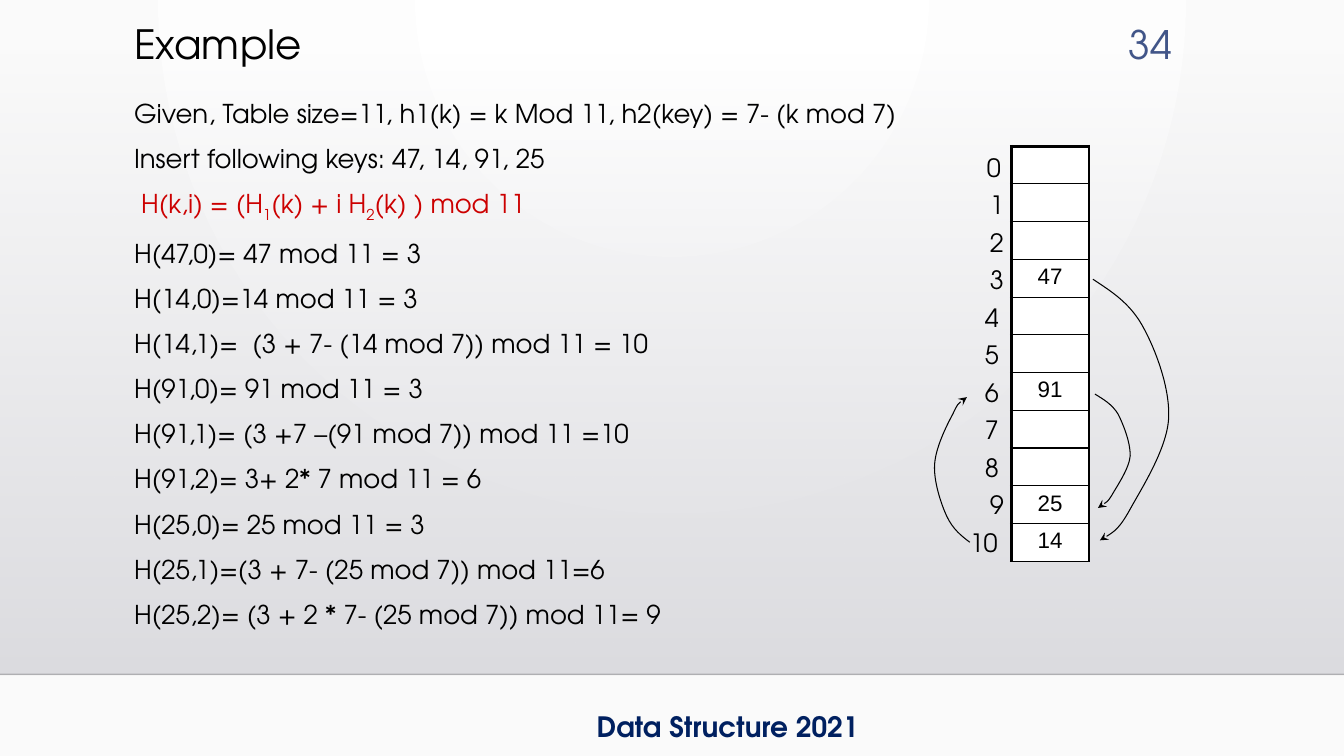
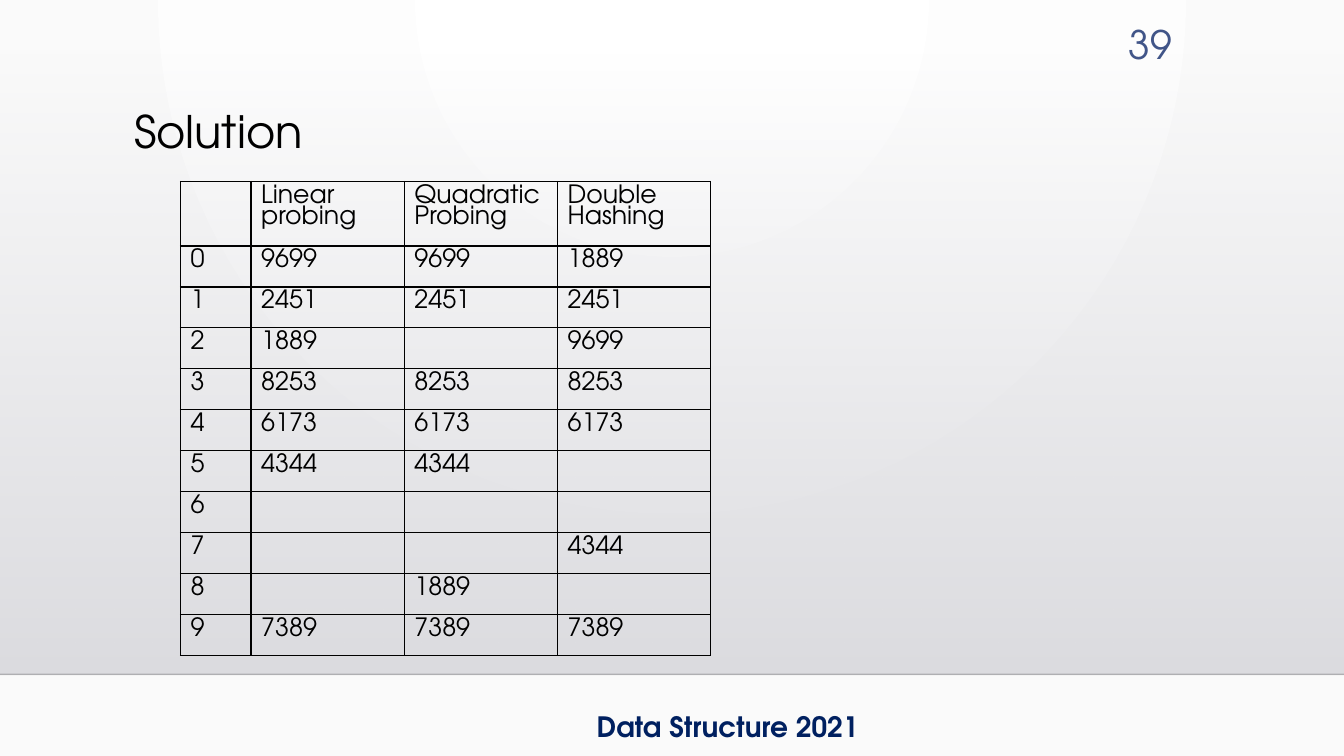
"""Build two lecture slides on double hashing and its comparison with other probing."""
from dataclasses import dataclass

from lxml import etree
from pptx import Presentation
from pptx.dml.color import RGBColor
from pptx.enum.shapes import MSO_CONNECTOR, MSO_SHAPE
from pptx.enum.text import MSO_ANCHOR, MSO_AUTO_SIZE, PP_ALIGN
from pptx.oxml.ns import qn
from pptx.util import Inches, Pt

RECTANGLE = MSO_SHAPE.RECTANGLE
STRAIGHT = MSO_CONNECTOR.STRAIGHT
TOP = MSO_ANCHOR.TOP
FIXED = MSO_AUTO_SIZE.NONE
LEFT, CENTER, RIGHT = PP_ALIGN.LEFT, PP_ALIGN.CENTER, PP_ALIGN.RIGHT


@dataclass(frozen=True)
class Theme:
    font: str = "TeX Gyre Adventor"
    cell_font: str = "Arial"
    ink: str = "000000"
    formula: str = "CC0000"
    number: str = "415588"
    footer: str = "002060"
    white: str = "FFFFFF"
    paper: str = "FAFAFA"
    band_top: str = "DCDCE0"
    band_bottom: str = "DEDEE2"
    rule: str = "000001"
    number_size: float = 28
    footer_size: float = 20
    body_size: float = 18.5
    label_size: float = 18
    key_size: float = 16
    tight: float = 0.9
    thin: float = 1
    thick: float = 2.25
    arrow: float = 0.75


THEME = Theme()
WIDTH, HEIGHT = 13.33, 7.5
FOOTER = "Data Structure 2021"

EXAMPLE = {"title": "Example", "number": "34", "size": 28.8, "at": (1.23, 0.19, 10.5, 0.53)}
SOLUTION = {"title": "Solution", "number": "39", "size": 32, "at": (1.23, 1.04, 10.5, 1.15)}

FORMULA = [" H(k,i) = (H", "1", "(k) + i H", "2", "(k) ) mod 11"]
STEPS = [
    "Given, Table size=11, h1(k) = k Mod 11, h2(key) = 7- (k mod 7)",
    "Insert following keys: 47, 14, 91, 25",
    FORMULA,
    "H(47,0)= 47 mod 11 = 3",
    "H(14,0)=14 mod 11 = 3",
    "H(14,1)=  (3 + 7- (14 mod 7)) mod 11 = 10",
    "H(91,0)= 91 mod 11 = 3",
    "H(91,1)= (3 +7 –(91 mod 7)) mod 11 =10",
    "H(91,2)= 3+ 2* 7 mod 11 = 6",
    "H(25,0)= 25 mod 11 = 3",
    "H(25,1)=(3 + 7- (25 mod 7)) mod 11=6",
    "H(25,2)= (3 + 2 * 7- (25 mod 7)) mod 11= 9",
]

SLOTS = ["", "", "", "47", "", "", "91", "", "", "25", "14"]
LABEL_LEFTS = [9.69, 9.72, 9.72, 9.72, 9.67, 9.67, 9.67, 9.67, 9.67, 9.72, 9.52]
LABEL_RIGHT, LABEL_TOP, LABEL_BOTTOM = 10.06, 1.46, 5.18

PROBE_ARROWS = [
    [(9.62, 5.38), (9.54, 5.32), (9.45, 5.25), (9.39, 5.12), (9.33, 4.99), (9.26, 4.77),
     (9.27, 4.61), (9.28, 4.44), (9.39, 4.22), (9.45, 4.11), (9.5, 4), (9.54, 3.97), (9.59, 3.94)],
    [(10.84, 2.77), (11.02, 2.89), (11.2, 3), (11.33, 3.23), (11.46, 3.46), (11.61, 3.86),
     (11.59, 4.16), (11.57, 4.46), (11.32, 4.85), (11.21, 5.05), (11.1, 5.25), (11, 5.31),
     (10.91, 5.36)],
    [(10.86, 3.91), (10.94, 3.96), (11.03, 4.01), (11.09, 4.11), (11.14, 4.21), (11.21, 4.38),
     (11.21, 4.52), (11.2, 4.65), (11.08, 4.82), (11.03, 4.91), (10.98, 4.99), (10.93, 5.01),
     (10.89, 5.04)],
]

RESULTS = [
    ("", "Linear probing", "Quadratic Probing", "Double Hashing"),
    ("0", "9699", "9699", "1889"),
    ("1", "2451", "2451", "2451"),
    ("2", "1889", "", "9699"),
    ("3", "8253", "8253", "8253"),
    ("4", "6173", "6173", "6173"),
    ("5", "4344", "4344", ""),
    ("6", "", "", ""),
    ("7", "", "", "4344"),
    ("8", "", "1889", ""),
    ("9", "7389", "7389", "7389"),
]
RESULT_COLUMNS = [0.7, 1.52, 1.52, 1.52]
RESULT_HEADER, RESULT_BODY = 0.57, 4.06


def rgb(color):
    return RGBColor.from_string(color)


def child(parent, tag, **attributes):
    return etree.SubElement(parent, qn(tag), attributes)


def place(box, left, top, width, height):
    box.left, box.top = Inches(left), Inches(top)
    box.width, box.height = Inches(width), Inches(height)
    box.text_frame.vertical_anchor, box.text_frame.auto_size = TOP, FIXED


def write(para, text, *, size, color=THEME.ink, font=THEME.font, bold=False,
          align=LEFT, spacing=None, before=0, subscript=False):
    para.alignment = align
    para.space_before = Pt(before)
    if spacing:
        para.line_spacing = spacing
    if not text:
        child(para._p, "a:endParaRPr", sz=str(int(size * 100)))
        return
    span = para.add_run()
    span.text = text
    span.font.name, span.font.size, span.font.bold = font, Pt(size), bold
    span.font.color.rgb = rgb(color)
    if subscript:
        span.font._element.set("baseline", "-25000")


def add_text(page, text, at, **style):
    box = page.shapes.add_textbox(*map(Inches, at))
    box.text_frame.word_wrap = True
    write(box.text_frame.paragraphs[0], text, **style)
    return box


def color_stops(fill, *colors):
    fill.gradient()
    for stop, color in zip(fill.gradient_stops, colors):
        stop.color.rgb = rgb(color)


def set_alpha(properties, percent):
    child(next(properties.iter(qn("a:srgbClr"))), "a:alpha", val=str(percent * 1000))


def decorate_master(deck, page):
    master = deck.slide_master
    color_stops(master.background.fill, THEME.white, THEME.paper)
    gradient = next(master.element.iter(qn("a:gradFill")))
    gradient.remove(gradient.find(qn("a:lin")))
    focus = child(gradient, "a:path", path="circle")
    child(focus, "a:fillToRect", l="43000", t="0", r="43000", b="100000")

    band = page.shapes.add_shape(RECTANGLE, *map(Inches, (0, 0.51, WIDTH, 6.18)))
    band.shadow.inherit = False
    band.line.fill.background()
    color_stops(band.fill, THEME.band_top, THEME.band_bottom)
    band.fill.gradient_angle = 270
    set_alpha(band.element.spPr, 0)

    rule = page.shapes.add_connector(STRAIGHT, *map(Inches, (0, 6.69, WIDTH, 6.69)))
    rule.line.color.rgb = rgb(THEME.rule)
    rule.line.width = Pt(THEME.thin)
    set_alpha(rule.element.spPr, 20)
    child(rule.element.spPr, "a:effectLst")

    footer = add_text(page, FOOTER, (5.82, 6.99, 2.83, 0.44),
                      size=THEME.footer_size, color=THEME.footer, bold=True)
    for shape in (band, rule, footer):
        master.shapes.element.append(shape.element)


def add_heading(page, heading):
    title = page.shapes.title
    place(title, *heading["at"])
    write(title.text_frame.paragraphs[0], heading["title"], size=heading["size"],
          spacing=THEME.tight)
    add_text(page, heading["number"], (10.83, 0.15, 0.89, 0.55),
             size=THEME.number_size, color=THEME.number, align=RIGHT)


def add_steps(page):
    body = page.placeholders[1]
    place(body, 1.23, 0.92, 11.39, 5.74)
    frame = body.text_frame
    for index, step in enumerate(STEPS):
        para = frame.add_paragraph() if index else frame.paragraphs[0]
        properties = para._p.get_or_add_pPr()
        properties.set("marL", "0")
        properties.set("indent", "0")
        child(properties, "a:buNone")
        color = THEME.formula if step is FORMULA else THEME.ink
        spans = step if step is FORMULA else [step]
        for position, text in enumerate(spans):
            write(para, text, size=THEME.body_size, color=color,
                  before=10 if index else 0, subscript=position % 2 == 1)


def set_borders(cell, left, right, top, bottom):
    properties = cell._tc.get_or_add_tcPr()
    for side, width in zip("LRTB", (left, right, top, bottom)):
        line = child(properties, f"a:ln{side}", w=str(Pt(width)))
        child(child(line, "a:solidFill"), "a:srgbClr", val=THEME.ink)


def add_grid(page, rows, left, top, widths, heights, *, fill=None, side=THEME.thin,
             first=THEME.thin, **style):
    frame = page.shapes.add_table(len(rows), len(widths), Inches(left), Inches(top),
                                  Inches(sum(widths)), Inches(sum(heights)))
    table = frame.table
    table.first_row = table.horz_banding = False
    for column, width in zip(table.columns, widths):
        column.width = Inches(width)
    for index, (row, height) in enumerate(zip(rows, heights)):
        table.rows[index].height = Inches(height)
        for cell, text in zip(table.rows[index].cells, row):
            write(cell.text_frame.paragraphs[0], text, **style)
            set_borders(cell, side, side, THEME.thin if index else first, THEME.thin)
            if fill:
                cell.fill.solid()
                cell.fill.fore_color.rgb = rgb(fill)
            else:
                cell.fill.background()


def bend_segments(outline):
    segments = list(outline.iter(qn("a:lnTo")))
    for start in range(0, len(segments), 3):
        group = segments[start:start + 3]
        curve = child(group[0].getparent(), "a:cubicBezTo")
        for segment in group:
            curve.append(segment[0])
            segment.getparent().remove(segment)


def add_arrow(page, points):
    start, *others = [tuple(map(Inches, point)) for point in points]
    builder = page.shapes.build_freeform(*start)
    builder.add_line_segments(others, close=False)
    arrow = builder.convert_to_shape()
    bend_segments(arrow.element.spPr)
    arrow.shadow.inherit = False
    arrow.fill.background()
    arrow.line.color.rgb = rgb(THEME.ink)
    arrow.line.width = Pt(THEME.arrow)
    child(arrow.line._get_or_add_ln(), "a:tailEnd", type="stealth")


def add_hash_table(page):
    add_grid(page, [(slot,) for slot in SLOTS], 10.03, 1.45, [0.77],
             [4.12 / len(SLOTS)] * len(SLOTS), fill=THEME.white, side=THEME.thick,
             first=THEME.thick, size=THEME.key_size, font=THEME.cell_font, align=CENTER)
    pitch = (LABEL_BOTTOM - LABEL_TOP) / (len(SLOTS) - 1)
    for index, left in enumerate(LABEL_LEFTS):
        add_text(page, str(index), (left, LABEL_TOP + index * pitch, LABEL_RIGHT - left, 0.4),
                 size=THEME.label_size)
    for points in PROBE_ARROWS:
        add_arrow(page, points)


def main():
    deck = Presentation()
    deck.slide_width, deck.slide_height = Inches(WIDTH), Inches(HEIGHT)

    page = deck.slides.add_slide(deck.slide_layouts[1])
    decorate_master(deck, page)
    add_heading(page, EXAMPLE)
    add_steps(page)
    add_hash_table(page)

    page = deck.slides.add_slide(deck.slide_layouts[5])
    add_heading(page, SOLUTION)
    count = len(RESULTS) - 1
    add_grid(page, RESULTS, 1.79, 1.8, RESULT_COLUMNS,
             [RESULT_HEADER] + [RESULT_BODY / count] * count,
             size=THEME.label_size, spacing=THEME.tight)
    deck.save("out.pptx")


if __name__ == "__main__":
    main()
